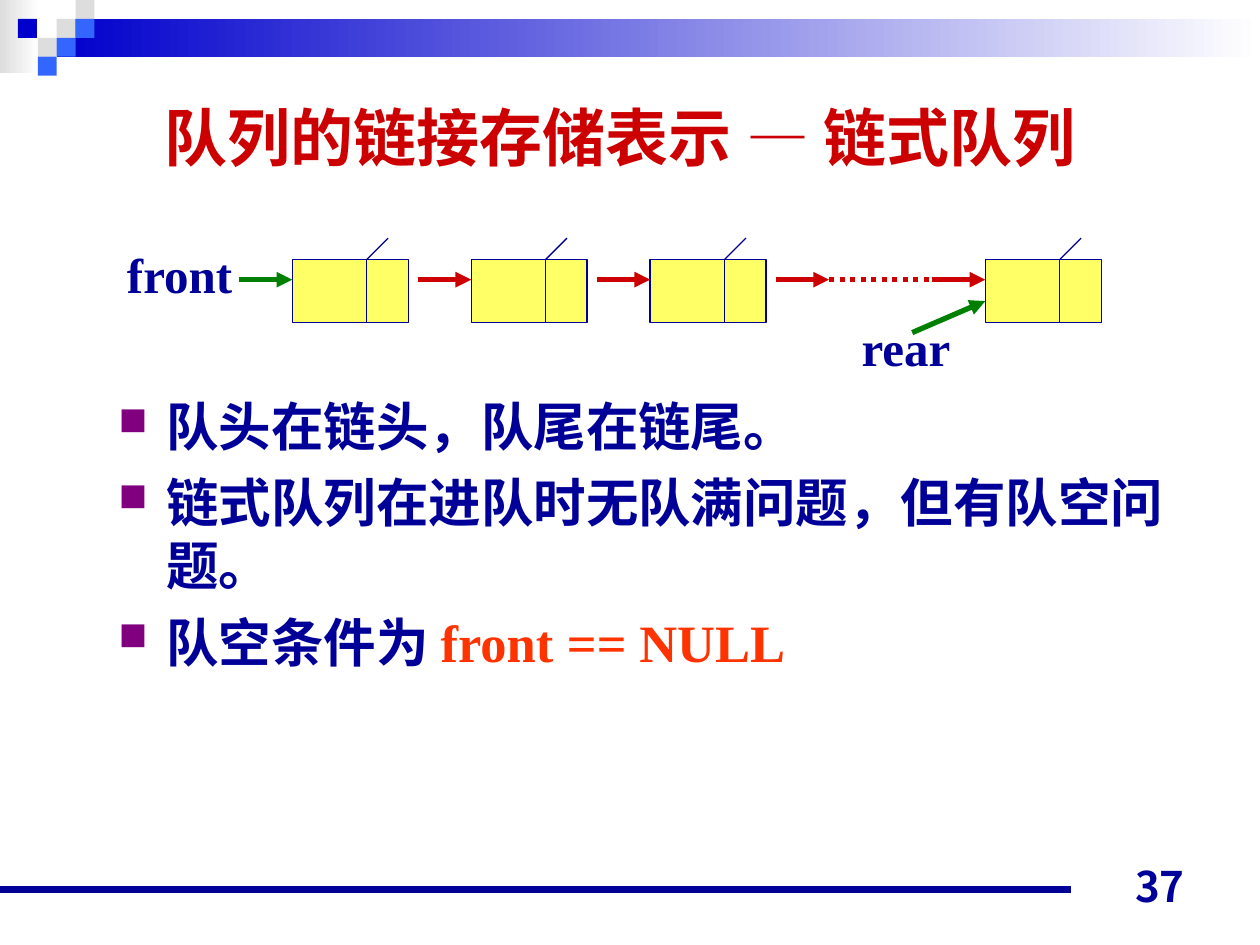
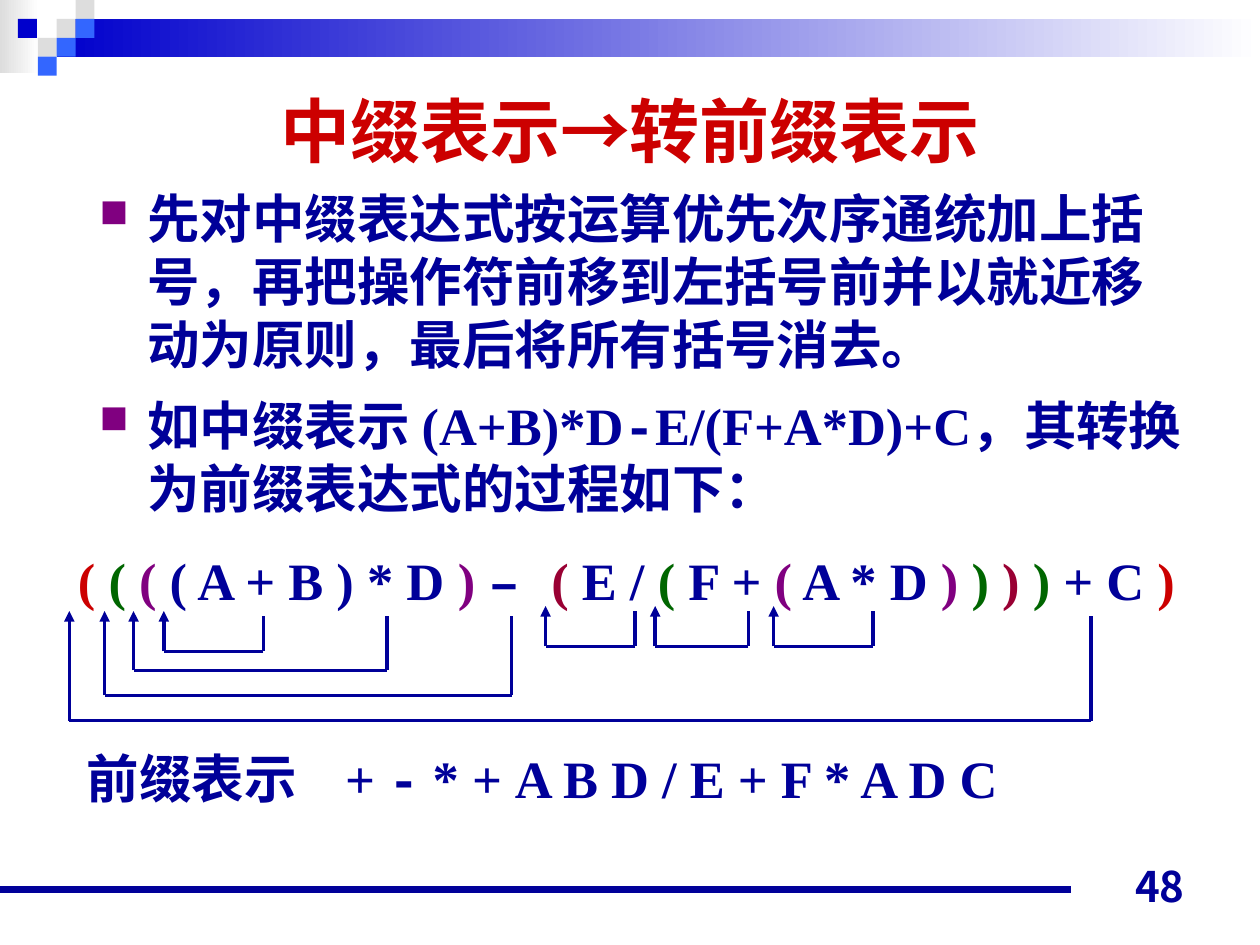
import pptx
import pptx.util
import pptx.dml.color
import pptx.enum.dml
import pptx.enum.shapes
import pptx.enum.text
import pptx.oxml
import pptx.oxml.ns
from dataclasses import dataclass
from lxml import etree


@dataclass(frozen=True)
class Theme:
    navy: str = "000099"
    red: str = "CC0000"
    green: str = "008000"
    leaf: str = "006600"
    purple: str = "800080"
    wine: str = "990033"
    orange: str = "FF3300"
    yellow: str = "FFFF66"
    blue: str = "0000CC"
    sky: str = "3366FF"
    gray: str = "DDDDDD"
    white: str = "FFFFFF"
    serif: str = "Times New Roman"
    sans: str = "Arial"
    mono: str = "Courier New"
    asian: str = "Noto Sans CJK SC"
    heading: str = "Noto Sans CJK JP"
    body_size: int = 30
    label_size: int = 28
    number_size: int = 24


THEME = Theme()
ALIGN = pptx.enum.text.PP_ALIGN
ANCHOR = pptx.enum.text.MSO_ANCHOR

# Content: a paragraph is a list of (text, run overrides)
QUEUE_TITLE = [("队列的链接存储表示 ", {}), ("—", {"bold": False}), (" 链式队列", {})]
CODE = {"name": THEME.serif, "color": THEME.orange}
QUEUE_POINTS = [
    [("队头在链头，队尾在链尾。", {})],
    [("链式队列在进队时无队满问题，但有队空问题。", {})],
    [("队空条件为 ", {}), ("front ", CODE), ("==", {**CODE, "italic": True}), (" NULL", CODE)],
]
SERIF, MONO = {"name": THEME.serif}, {"name": THEME.mono}
PREFIX_TITLE = [("中缀表示", {}), ("→", MONO), ("转前缀表示", {})]
PREFIX_POINTS = [
    [("先对中缀表达式按运算优先次序通统加上括号，再把操作符前移到左括号前并以就近移动为原则，最后将所有括号消去。", {})],
    [("如中缀表示 ", {}), ("(A+B)*D", SERIF), ("-", MONO), ("E/(F+A*D)+C", SERIF),
     ("，其转换为前缀表达式的过程如下：", {})],
]
FORMULA = [
    ("( ", THEME.red), ("( ", THEME.leaf), ("(", THEME.purple), (" ( A + B ) * D ", THEME.navy),
    (") ", THEME.purple), ("– ", THEME.navy), ("(", THEME.wine), (" E / ", THEME.navy),
    ("(", THEME.leaf), (" F + ", THEME.navy), ("(", THEME.purple), (" A * D ", THEME.navy),
    (") ", THEME.purple), (") ", THEME.leaf), (") ", THEME.wine), (")", THEME.leaf),
    (" + C ", THEME.navy), (")", THEME.red),
]
PREFIX_RESULT = [("前缀表示\t+ ", {}), ("-", MONO), (" * + A B D / E + F * A D C", {})]

# Operator moves: left bracket, operator, floor, arrow tip
OPERATOR_MOVES = [
    (1.3, 2.09, 5.17, 4.85), (1.06, 3.07, 5.32, 4.85), (0.83, 4.06, 5.52, 4.85),
    (0.55, 8.66, 5.72, 4.85), (4.33, 5.04, 5.13, 4.81), (5.2, 5.94, 5.13, 4.81),
    (6.14, 6.93, 5.13, 4.81),
]

# Corner checker: column, row, colour on a square grid
CHECKER_CELL = 0.15
CHECKER = [
    (3, 1, THEME.gray), (4, 0, THEME.gray), (4, 1, THEME.sky), (2, 2, THEME.gray),
    (0.95, 1, THEME.blue), (3, 2, THEME.sky), (2, 3, THEME.sky),
]

presentation = pptx.Presentation()
presentation.slide_width = pptx.util.Inches(10)
presentation.slide_height = pptx.util.Inches(7.5)
COLUMN, ROW = presentation.slide_width / 10, presentation.slide_height / 7.5


def place(*values):
    """Grid columns and rows, alternating, as slide lengths."""
    return [round(value * (ROW if index % 2 else COLUMN)) for index, value in enumerate(values)]


def rgb(color):
    return pptx.dml.color.RGBColor.from_string(color)


def add_element(parent, tag, **attributes):
    element = etree.SubElement(parent, pptx.oxml.ns.qn(tag))
    for key, value in attributes.items():
        element.set(key, str(value))
    return element


# Drawing helpers
def add_box(slide, at, color, outline=None, fade=False):
    shape = slide.shapes.add_shape(pptx.enum.shapes.MSO_SHAPE.RECTANGLE, *place(*at))
    shape.shadow.inherit = False
    if fade:
        shape.fill.gradient()
        shape.fill.gradient_angle = 0
        for stop, stop_color in zip(shape.fill.gradient_stops, (color, THEME.white)):
            stop.color.rgb = rgb(stop_color)
    else:
        shape.fill.solid()
        shape.fill.fore_color.rgb = rgb(color)
    if outline:
        shape.line.color.rgb = rgb(outline)
        shape.line.width = pptx.util.Pt(0.75)
    else:
        shape.line.fill.background()


def add_line(slide, start, end, color=THEME.navy, width=0.75, arrow=False, dotted=False):
    connector = slide.shapes.add_connector(
        pptx.enum.shapes.MSO_CONNECTOR.STRAIGHT, *place(*start, *end))
    connector.line.color.rgb = rgb(color)
    connector.line.width = pptx.util.Pt(width)
    if dotted:
        connector.line.dash_style = pptx.enum.dml.MSO_LINE.ROUND_DOT
    if arrow:
        add_element(connector.line._get_or_add_ln(), "a:tailEnd", type="triangle")
    add_element(connector._element.spPr, "a:effectLst")


def set_font(font, name=None, size=None, color=None, bold=None, italic=None):
    if size:
        font.size = pptx.util.Pt(size)
    if bold is not None:
        font.bold = bold
    if italic is not None:
        font.italic = italic
    if color:
        font.color.rgb = rgb(color)
    if name:
        font.name = name
        add_element(font._rPr, "a:ea", typeface=THEME.asian)


def add_text(slide, at, paragraphs, size, name=THEME.sans, color=THEME.navy, align=ALIGN.LEFT,
             anchor=ANCHOR.TOP, wrap=True, bullets=False, gap=0, tab=None):
    frame = slide.shapes.add_textbox(*place(*at)).text_frame
    frame.word_wrap = wrap
    frame.vertical_anchor = anchor
    for index, runs in enumerate(paragraphs):
        paragraph = frame.add_paragraph() if index else frame.paragraphs[0]
        paragraph.alignment = align
        if index:
            paragraph.space_before = pptx.util.Pt(gap)
        properties = paragraph._p.get_or_add_pPr()
        if bullets:
            indent = pptx.util.Inches(0.38)
            properties.set("marL", str(indent))
            properties.set("indent", str(-indent))
            add_element(add_element(properties, "a:buClr"), "a:srgbClr", val=THEME.purple)
            add_element(properties, "a:buSzPct", val=75000)
            add_element(properties, "a:buChar", char="■")
        if tab:
            add_element(add_element(properties, "a:tabLst"), "a:tab",
                        pos=pptx.util.Inches(tab), algn="l")
        set_font(paragraph.font, name, size, color, True)
        for text, changes in runs:
            run = paragraph.add_run()
            run.text = text
            set_font(run.font, **changes)


# Shared frame: band, checker, footer rule, page number and title
def add_slide(number, title, title_at, title_size, **title_style):
    slide = presentation.slides.add_slide(presentation.slide_layouts[6])
    add_box(slide, (0, 0, 0.31, 0.58), THEME.gray, fade=True)
    add_box(slide, (0.45, 0.15, 9.55, 0.3), THEME.blue, fade=True)
    for column, row, color in CHECKER:
        add_box(slide, (column * CHECKER_CELL, row * CHECKER_CELL, CHECKER_CELL, CHECKER_CELL), color)
    add_line(slide, (0, 7.06), (8.5, 7.06), width=4.5)
    add_text(slide, title_at, [title], title_size, color=THEME.red, anchor=ANCHOR.MIDDLE, **title_style)
    add_text(slide, (7.17, 6.78, 2.33, 0.5), [[(str(number), {})]], THEME.number_size,
             name=THEME.heading, align=ALIGN.RIGHT, anchor=ANCHOR.BOTTOM)
    return slide


# Linked queue
def build_queue_slide():
    slide = add_slide(37, QUEUE_TITLE, (1.21, 0.63, 7.53, 0.91), 36, name=THEME.heading)
    add_text(slide, (0.84, 3.08, 8.65, 2.68), QUEUE_POINTS, THEME.body_size, bullets=True, gap=7.5)

    first, step, last = 2.32, 1.42, 7.82
    top, width, height, divider, tick = 2.06, 0.92, 0.5, 0.59, 0.17
    arrow_y, arrow_length = 2.22, 0.42
    chain = [first + step * index for index in range(3)]
    for left in chain + [last]:
        split = left + divider
        add_box(slide, (left, top, width, height), THEME.yellow, THEME.navy)
        add_line(slide, (split, top), (split, top + height))
        add_line(slide, (split, top), (split + tick, top - tick))

    gap_start = first + 3 * step
    for tip in chain + [gap_start, last]:
        add_line(slide, (tip - arrow_length, arrow_y), (tip, arrow_y),
                 THEME.green if tip == first else THEME.red, 3, arrow=True)
    add_line(slide, (gap_start, arrow_y), (last - arrow_length, arrow_y), THEME.red, 3, dotted=True)
    add_line(slide, (7.24, 2.64), (last, 2.39), THEME.green, 3, arrow=True)
    for label, at in (("front", (0.91, 1.89, 1.04, 0.57)), ("rear", (6.74, 2.47, 0.91, 0.57))):
        add_text(slide, at, [[(label, {})]], THEME.label_size, THEME.serif, wrap=False)


# Infix to prefix
def build_prefix_slide():
    slide = add_slide(48, PREFIX_TITLE, (0.5, 0.5, 9, 1.05), 40, align=ALIGN.CENTER)
    add_text(slide, (0.69, 1.43, 8.8, 2.84), PREFIX_POINTS, THEME.body_size, bullets=True, gap=10)
    formula = [(text, {"color": color, **(MONO if text == "– " else {})}) for text, color in FORMULA]
    add_text(slide, (0.52, 4.3, 9.01, 0.6), [formula], THEME.body_size, THEME.serif, wrap=False)
    for bracket, operator, floor, tip in OPERATOR_MOVES:
        add_line(slide, (operator, floor), (operator, tip + 0.04), width=2)
        add_line(slide, (operator, floor), (bracket, floor), width=1.75)
        add_line(slide, (bracket, floor), (bracket, tip), width=2, arrow=True)
    add_text(slide, (0.59, 5.87, 7.52, 0.6), [PREFIX_RESULT], THEME.body_size, THEME.serif, tab=2.05)


def main():
    build_queue_slide()
    build_prefix_slide()
    presentation.save("out.pptx")


if __name__ == "__main__":
    main()
